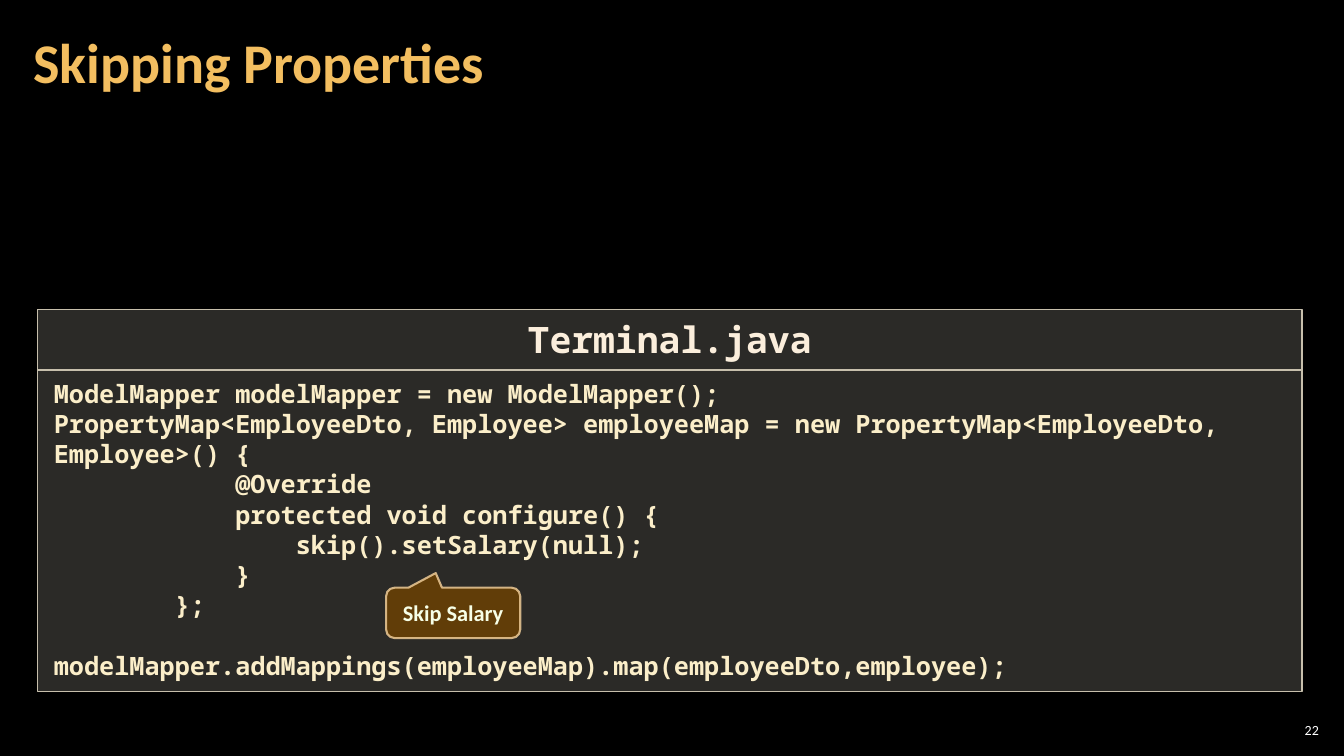
import pptx
import pptx.util
import pptx.dml.color
import pptx.enum.shapes
import pptx.enum.text
from lxml import etree

RGBColor = pptx.dml.color.RGBColor
Inches, Pt = pptx.util.Inches, pptx.util.Pt
SHAPE = pptx.enum.shapes.MSO_SHAPE
ALIGN = pptx.enum.text.PP_ALIGN
ANCHOR = pptx.enum.text.MSO_ANCHOR

BLACK = RGBColor(0x00, 0x00, 0x00)
WHITE = RGBColor(0xFF, 0xFF, 0xFF)
GOLD = RGBColor(0xF3, 0xBE, 0x60)
PANEL_FILL = RGBColor(0xD9, 0xD5, 0xC7)
PANEL_LINE = RGBColor(0xC7, 0xBF, 0xAC)
CODE_TEXT = RGBColor(0xFB, 0xEE, 0xC9)
HEADER_TEXT = RGBColor(0xFB, 0xEE, 0xDC)
CALLOUT_FILL = RGBColor(0x64, 0x3F, 0x07)
CALLOUT_LINE = RGBColor(0xF8, 0xD4, 0x9E)
CALLOUT_TEXT = RGBColor(0xF7, 0xFF, 0xE7)

SANS, MONO = "Calibri", "Noto Sans Mono"
CODE_LINE = Pt(21.6)
CODE = [
    "ModelMapper modelMapper = new ModelMapper();",
    "PropertyMap<EmployeeDto, Employee> employeeMap = new PropertyMap<EmployeeDto, Employee>() {",
    "            @Override",
    "            protected void configure() {",
    "                skip().setSalary(null);",
    "            }",
    "        };",
    "modelMapper.addMappings(employeeMap).map(employeeDto,employee);",
]


def set_opacity(fill, percent):
    """Add an alpha value to a solid fill's colour."""
    color = fill._xPr.find(".//" + pptx.oxml.ns.qn("a:srgbClr"))
    etree.SubElement(color, pptx.oxml.ns.qn("a:alpha"), val=str(percent * 1000))


def paint(shape, fill, fill_opacity, line, line_width):
    shape.shadow.inherit = False
    shape.fill.solid()
    shape.fill.fore_color.rgb = fill
    set_opacity(shape.fill, fill_opacity)
    shape.line.color.rgb = line
    shape.line.width = Pt(line_width)


def write(shape, lines, font, size, color, align, anchor, insets, bold=True):
    frame = shape.text_frame
    frame.word_wrap = True
    frame.vertical_anchor = anchor
    frame.margin_left = frame.margin_right = Inches(insets[0])
    frame.margin_top = frame.margin_bottom = Inches(insets[1])
    frame.text = "\n".join(lines)
    for paragraph in frame.paragraphs:
        paragraph.alignment = align
        for run in paragraph.runs:
            run.font.name = font
            run.font.size = Pt(size)
            run.font.bold = bold
            run.font.color.rgb = color
    return frame


def add_title(slide, box):
    title = slide.shapes.add_textbox(*box)
    frame = write(title, ["Skipping Properties"], SANS, 40, GOLD,
                  ALIGN.LEFT, ANCHOR.MIDDLE, (0.12, 0.04))
    frame.paragraphs[0].line_spacing = 0.9


def add_page_number(slide, box):
    number = slide.shapes.add_textbox(*box)
    write(number, ["22"], SANS, 10, WHITE, ALIGN.RIGHT, ANCHOR.MIDDLE,
          (0.04, 0.04), bold=False)


def add_code_panel(slide, box):
    """File name header stacked on the code listing."""
    left, top, width, height = box
    header_height = Inches(0.6)

    # Listing, with a one-line gap before the final call
    listing = slide.shapes.add_shape(
        SHAPE.RECTANGLE, left, top + header_height, width, height - header_height)
    paint(listing, PANEL_FILL, 20, PANEL_LINE, 1)
    frame = write(listing, CODE, MONO, 18, CODE_TEXT,
                  ALIGN.LEFT, ANCHOR.TOP, (0.16, 0.08))
    frame.paragraphs[-1].space_before = CODE_LINE

    # File name
    header = slide.shapes.add_shape(SHAPE.RECTANGLE, left, top, width, header_height)
    paint(header, PANEL_FILL, 20, PANEL_LINE, 1)
    write(header, ["Terminal.java"], MONO, 26, HEADER_TEXT,
          ALIGN.CENTER, ANCHOR.TOP, (0.16, 0.08))


def add_callout(slide, box):
    callout = slide.shapes.add_shape(SHAPE.ROUNDED_RECTANGULAR_CALLOUT, *box)
    for index, value in enumerate((-0.13, -0.79, 0.17)):
        callout.adjustments[index] = value
    paint(callout, CALLOUT_FILL, 95, CALLOUT_LINE, 1.5)
    set_opacity(callout.line.fill, 80)
    write(callout, ["Skip Salary"], SANS, 16, CALLOUT_TEXT,
          ALIGN.CENTER, ANCHOR.MIDDLE, (0.1, 0.05))


def main():
    deck = pptx.Presentation()
    deck.slide_width, deck.slide_height = Inches(13.33), Inches(7.5)
    slide = deck.slides.add_slide(deck.slide_layouts[6])
    slide.background.fill.solid()
    slide.background.fill.fore_color.rgb = BLACK

    def area(left, top, width, height):
        """Box from shares of the slide's size, in percent."""
        return (int(deck.slide_width * left / 100), int(deck.slide_height * top / 100),
                int(deck.slide_width * width / 100), int(deck.slide_height * height / 100))

    add_page_number(slide, area(94.9, 95.2, 3.53, 2.8))
    add_title(slide, area(1.58, 0.53, 78.54, 16.13))
    add_code_panel(slide, area(2.81, 40.93, 94.07, 50.53))
    add_callout(slide, area(28.73, 77.73, 9.98, 6.67))
    deck.save("out.pptx")


if __name__ == "__main__":
    main()
